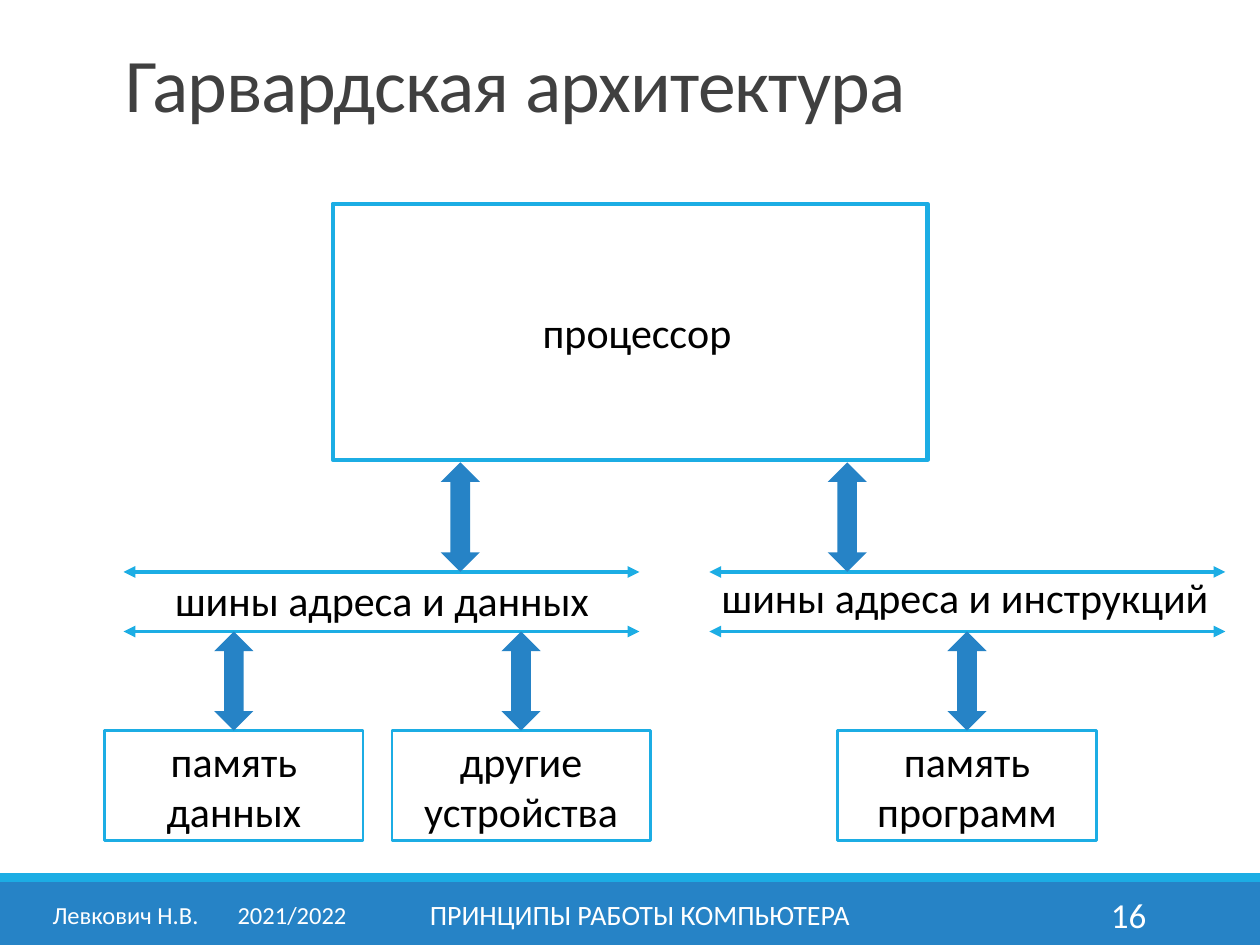
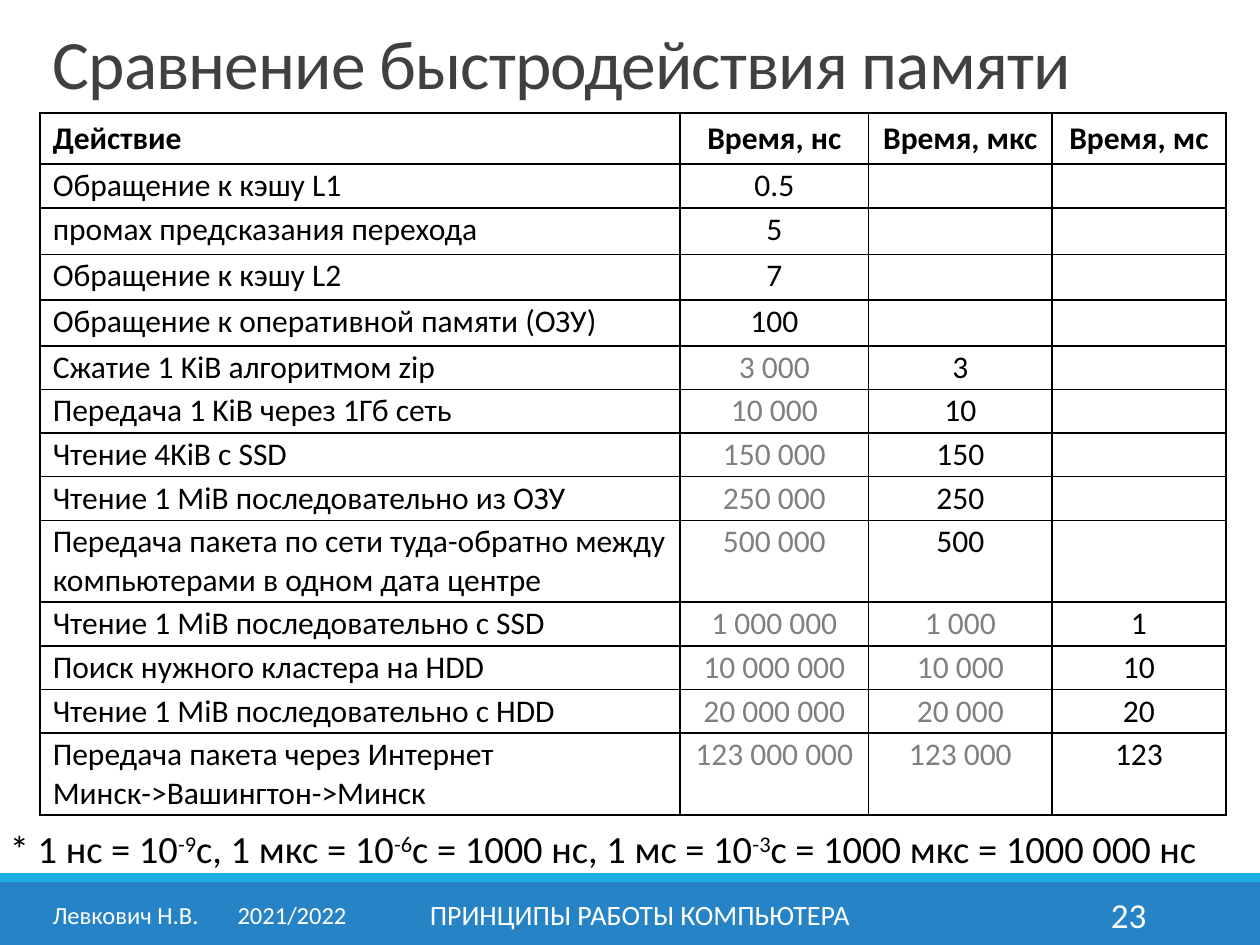
from lxml import etree
from pptx import Presentation
from pptx.dml.color import RGBColor
from pptx.enum import shapes, text
from pptx.oxml.ns import qn
from pptx.util import Cm, Pt

# Shared look
BLUE = RGBColor(0x26, 0x83, 0xC6)
CYAN = RGBColor(0x1C, 0xAD, 0xE4)
DARK = RGBColor(0x40, 0x40, 0x40)
GREY = RGBColor(0x80, 0x80, 0x80)
BLACK = RGBColor(0, 0, 0)
WHITE = RGBColor(0xFF, 0xFF, 0xFF)
FONT = "Calibri"
LEFT, CENTER, RIGHT = text.PP_ALIGN.LEFT, text.PP_ALIGN.CENTER, text.PP_ALIGN.RIGHT
TOP, MIDDLE = text.MSO_ANCHOR.TOP, text.MSO_ANCHOR.MIDDLE
RECT = shapes.MSO_SHAPE.RECTANGLE

# Footer: text, left, width, size, alignment
FOOTER_TOP, FOOTER_HEIGHT, YEAR_TAB = 17.93, 1.02, 3.73
FOOTERS = [
    ("Левкович Н.В.\t2021/2022", 0.81, 6.63, 14, LEFT),
    ("ПРИНЦИПЫ РАБОТЫ КОМПЬЮТЕРА", 7.67, 10.46, 16, CENTER),
]

# Diagram content, lengths in cm
PROCESSOR = (6.71, 4.11, 11.99, 5.16)
PROCESSOR_LABEL = ("процессор", 10.69, 6.05, 4.37)
BUS_LINES, BUS_LENGTH = (11.53, 12.73), 10.4
BUSES = [  # line start, centre of arrow to processor, label, label box
    (2.49, 9.28, "шины адреса и данных", 3.28, 11.46, 8.94),
    (14.3, 17.08, "шины адреса и инструкций", 14.3, 11.4, 10.44),
]
DEVICE_TOP, DEVICE_WIDTH, DEVICE_HEIGHT = 14.73, 5.21, 2.21
DEVICES = [("память данных", 2.11), ("другие устройства", 7.9),
           ("память программ", 16.89)]
ARROW_WIDTH, ARROW_START = 0.79, 9.32

# Table content
COLUMN_WIDTHS = [12.9, 3.8, 3.7, 3.5]
HEADER = ("Действие", "Время, нс", "Время, мкс", "Время, мс")
ROWS = [
    ("Обращение к кэшу L1", "0.5", "", ""),
    ("промах предсказания перехода", "5", "", ""),
    ("Обращение к кэшу L2", "7", "", ""),
    ("Обращение к оперативной памяти (ОЗУ)", "100", "", ""),
    ("Сжатие 1 KiB алгоритмом zip", "3 000", "3", ""),
    ("Передача 1 KiB через 1Гб сеть", "10 000", "10", ""),
    ("Чтение 4KiB с SSD", "150 000", "150", ""),
    ("Чтение 1 MiB последовательно из ОЗУ", "250 000", "250", ""),
    ("Передача пакета по сети туда-обратно между компьютерами в одном дата центре",
     "500 000", "500", ""),
    ("Чтение 1 MiB последовательно с SSD", "1 000 000", "1 000", "1"),
    ("Поиск нужного кластера на HDD", "10 000 000", "10 000", "10"),
    ("Чтение 1 MiB последовательно с HDD", "20 000 000", "20 000", "20"),
    ("Передача пакета через Интернет\nМинск->Вашингтон->Минск",
     "123 000 000", "123 000", "123"),
]
ROW_HEIGHTS = [1.03, 0.88, 0.94, 0.92, 0.92] + [0.88] * 4 + [1.65] + [0.88] * 3 + [1.65]
# Every second part is a superscript
UNITS_NOTE = ["* 1 нс = 10", "-9", "с, 1 мкс = 10", "-6", "с = 1000 нс, 1 мс = 10",
              "-3", "с = 1000 мкс = 1000 000 нс"]


def style(para, size, color, align=LEFT, bold=False):
    para.alignment = align
    font = para.font
    font.name, font.size, font.bold = FONT, Pt(size), bold
    font.color.rgb = color


def add_text(page, words, left, top, width, height, size, color=BLACK,
             align=LEFT, anchor=TOP, wrap=True):
    box = page.shapes.add_textbox(Cm(left), Cm(top), Cm(width), Cm(height))
    frame = box.text_frame
    frame.word_wrap, frame.vertical_anchor = wrap, anchor
    para = frame.paragraphs[0]
    para.text = words
    style(para, size, color, align)
    return para


def add_block(page, kind, left, top, width, height, fill=None, line=None, line_width=1.5):
    block = page.shapes.add_shape(kind, Cm(left), Cm(top), Cm(width), Cm(height))
    block.shadow.inherit = False
    if fill:
        block.fill.solid()
        block.fill.fore_color.rgb = fill
    else:
        block.fill.background()
    if line:
        block.line.color.rgb = line
        block.line.width = Pt(line_width)
    else:
        block.line.fill.background()
    return block


def add_bus_line(page, left, top):
    bus = page.shapes.add_connector(shapes.MSO_CONNECTOR.STRAIGHT, Cm(left), Cm(top),
                                    Cm(left + BUS_LENGTH), Cm(top))
    bus.line.color.rgb = CYAN
    bus.line.width = Pt(2.25)
    line = bus.line._get_or_add_ln()
    for end in ("a:headEnd", "a:tailEnd"):
        etree.SubElement(line, qn(end), type="triangle")
    etree.SubElement(bus._element.spPr, qn("a:effectLst"))


def add_arrow(page, center, top, bottom):
    add_block(page, shapes.MSO_SHAPE.UP_DOWN_ARROW, center - ARROW_WIDTH / 2, top,
              ARROW_WIDTH, bottom - top, fill=BLUE)


def add_page(deck, number, title, left, top, width, size, spacing):
    page = deck.slides.add_slide(deck.slide_layouts[6])
    # Bands
    add_block(page, RECT, 0, 17.78, 25.4, 1.27, fill=BLUE)
    add_block(page, RECT, 0, 17.6, 25.4, 0.18, fill=CYAN)
    # Title
    para = add_text(page, title, left, top, width, 1.65, size, DARK, anchor=MIDDLE)
    para.line_spacing = spacing
    para.runs[0]._r.get_or_add_rPr().set("spc", "-50")
    # Footer
    for words, x, span, points, align in FOOTERS + [(number, 20.62, 2.74, 20, RIGHT)]:
        para = add_text(page, words, x, FOOTER_TOP, span, FOOTER_HEIGHT, points,
                        WHITE, align, MIDDLE)
        if "\t" in words:
            tabs = etree.Element(qn("a:tabLst"))
            etree.SubElement(tabs, qn("a:tab"), pos=str(Cm(YEAR_TAB)), algn="l")
            para._p.get_or_add_pPr().insert(0, tabs)
    return page


def draw_diagram(page):
    # Processor
    add_block(page, RECT, *PROCESSOR, line=CYAN, line_width=2.5)
    words, left, top, width = PROCESSOR_LABEL
    add_text(page, words, left, top, width, 1.27, 24, wrap=False)
    # Buses
    upper, lower = BUS_LINES
    for start, center, words, left, top, width in BUSES:
        add_text(page, words, left, top, width, 1.27, 24, wrap=False)
        for height in BUS_LINES:
            add_bus_line(page, start, height)
        add_arrow(page, center, ARROW_START, upper)
    # Memory and devices
    for words, left in DEVICES:
        block = add_block(page, RECT, left, DEVICE_TOP, DEVICE_WIDTH, DEVICE_HEIGHT, line=CYAN)
        block.text_frame.vertical_anchor = MIDDLE
        para = block.text_frame.paragraphs[0]
        para.text = words
        style(para, 24, BLACK, CENTER)
        add_arrow(page, left + DEVICE_WIDTH / 2, lower, DEVICE_TOP)


def add_borders(cell):
    props = cell._tc.get_or_add_tcPr()
    for side in ("a:lnL", "a:lnR", "a:lnT", "a:lnB"):
        line = etree.SubElement(props, qn(side), w=str(Pt(1)))
        fill = etree.SubElement(line, qn("a:solidFill"))
        etree.SubElement(fill, qn("a:srgbClr"), val=str(BLACK))


def draw_table(page):
    records = [HEADER] + ROWS
    table = page.shapes.add_table(len(records), len(HEADER), Cm(0.81), Cm(2.28),
                                  Cm(sum(COLUMN_WIDTHS)), Cm(sum(ROW_HEIGHTS))).table
    table.first_row = table.horz_banding = False
    for column, width in zip(table.columns, COLUMN_WIDTHS):
        column.width = Cm(width)
    for row, height in zip(table.rows, ROW_HEIGHTS):
        row.height = Cm(height)
    for r, record in enumerate(records):
        for c, words in enumerate(record):
            cell = table.cell(r, c)
            add_borders(cell)
            cell.fill.background()
            if r:
                cell.margin_top = cell.margin_bottom = Cm(0.05)
            elif c == 0:
                cell.vertical_anchor = MIDDLE
            # A value is grey when a larger unit also shows it
            repeated = r and 0 < c < len(record) - 1 and record[c + 1]
            para = cell.text_frame.paragraphs[0]
            para.text = words
            style(para, 18, GREY if repeated else BLACK, CENTER if c else LEFT, bold=r == 0)


def draw_units_note(page):
    box = page.shapes.add_textbox(Cm(0.2), Cm(16.51), Cm(24.84), Cm(1.19))
    frame = box.text_frame
    frame.word_wrap = True
    frame.margin_left = frame.margin_right = 0
    para = frame.paragraphs[0]
    style(para, 22, BLACK)
    for i, words in enumerate(UNITS_NOTE):
        span = para.add_run()
        span.text = words
        if i % 2:
            span._r.get_or_add_rPr().set("baseline", "30000")


def main():
    deck = Presentation()
    deck.slide_width, deck.slide_height = Cm(25.4), Cm(19.05)
    draw_diagram(add_page(deck, "16", "Гарвардская архитектура",
                          2.29, 1.09, 20.96, 43.2, 0.65))
    page = add_page(deck, "23", "Сравнение быстродействия памяти",
                    0.81, 0.61, 22.38, 39.6, 0.75)
    draw_table(page)
    draw_units_note(page)
    deck.save("out.pptx")


if __name__ == "__main__":
    main()
